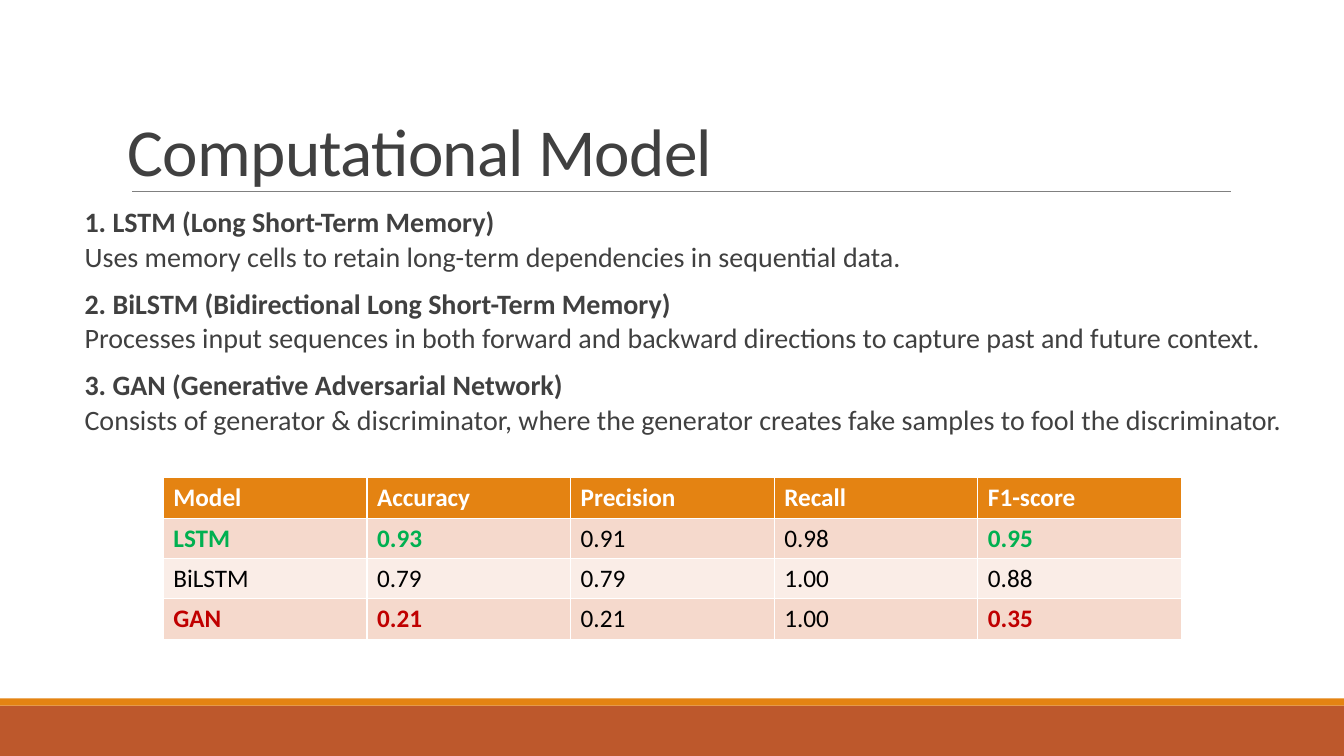
import pptx
import pptx.util
import pptx.dml.color
import pptx.enum.shapes
import pptx.enum.text
import pptx.oxml
import pptx.oxml.ns

Inches = pptx.util.Inches
Pt = pptx.util.Pt

TITLE = "Computational Model"
MODELS = [
    ("1. LSTM (Long Short-Term Memory)",
     "Uses memory cells to retain long-term dependencies in sequential data."),
    ("2. BiLSTM (Bidirectional Long Short-Term Memory)",
     "Processes input sequences in both forward and backward directions to capture past and future context."),
    ("3. GAN (Generative Adversarial Network)",
     "Consists of generator & discriminator, where the generator creates fake samples to fool the discriminator."),
]
SCORES = [
    ("Model", "Accuracy", "Precision", "Recall", "F1-score"),
    ("LSTM", "0.93", "0.91", "0.98", "0.95"),
    ("BiLSTM", "0.79", "0.79", "1.00", "0.88"),
    ("GAN", "0.21", "0.21", "1.00", "0.35"),
]
HIGHLIGHT_ROWS = {1: "best", 3: "worst"}
HIGHLIGHT_COLS = (0, 1, 4)
COLORS = {
    "text": "404040", "rule": "808080", "orange": "E48312", "rust": "BD582C",
    "white": "FFFFFF", "black": "000000", "best": "00B050", "worst": "C00000",
    "band_dark": "F5D9CC", "band_light": "FAEDE7",
}
FONT = "Calibri"
SLIDE_W, SLIDE_H = 13.33, 7.5
BANDS = [(7, 0.5, "rust"), (6.93, 0.07, "orange")]
COL_W, ROW_H = 2.02, 0.4


def rgb(name):
    return pptx.dml.color.RGBColor.from_string(COLORS[name])


def add_run(p, text, size, color, bold=False):
    r = p.add_run()
    r.text = text
    r.font.name = FONT
    r.font.size = Pt(size)
    r.font.bold = bold
    r.font.color.rgb = rgb(color)
    return r


def add_text_box(s, left, top, width, height):
    tf = s.shapes.add_textbox(Inches(left), Inches(top), Inches(width), Inches(height)).text_frame
    tf.word_wrap = True
    return tf


def add_background(s):
    for top, height, color in BANDS:
        sp = s.shapes.add_shape(pptx.enum.shapes.MSO_SHAPE.RECTANGLE,
                                0, Inches(top), Inches(SLIDE_W), Inches(height))
        sp.shadow.inherit = False
        sp.fill.solid()
        sp.fill.fore_color.rgb = rgb(color)
        sp.line.fill.background()
    rule = s.shapes.add_connector(pptx.enum.shapes.MSO_CONNECTOR.STRAIGHT,
                                  Inches(1.31), Inches(1.9), Inches(12.21), Inches(1.9))
    rule.line.color.rgb = rgb("rule")
    rule.line.width = Pt(0.5)
    rule._element.spPr.append(pptx.oxml.parse_xml(
        "<a:effectLst %s/>" % pptx.oxml.ns.nsdecls("a")))


def add_title(s):
    tf = add_text_box(s, 1.17, 0.66, 11, 1.28)
    tf.vertical_anchor = pptx.enum.text.MSO_ANCHOR.BOTTOM
    p = tf.paragraphs[0]
    p.line_spacing = 0.85
    r = add_run(p, TITLE, 48, "text")
    r._r.get_or_add_rPr().set("spc", "-50")


def add_models(s):
    tf = add_text_box(s, 0.74, 2.02, 12.05, 2.5)
    tf.margin_left, tf.margin_right = Inches(0.1), 0
    for i, (name, summary) in enumerate(MODELS):
        heading = tf.add_paragraph() if i else tf.paragraphs[0]
        detail = tf.add_paragraph()
        for p, text, bold, before, after in (
            (heading, name, True, 6 if i else 0, 2),
            (detail, summary, False, 1, 6),
        ):
            p.line_spacing = 0.9
            p.space_before = Pt(before)
            p.space_after = Pt(after)
            add_run(p, text, 20, "text", bold)


def cell_style(row, col):
    if row == 0:
        return "orange", "white", True
    fill = "band_dark" if row % 2 else "band_light"
    if row in HIGHLIGHT_ROWS and col in HIGHLIGHT_COLS:
        return fill, HIGHLIGHT_ROWS[row], True
    return fill, "black", False


def add_scores(s):
    rows, cols = len(SCORES), len(SCORES[0])
    table = s.shapes.add_table(rows, cols, Inches(1.62), Inches(4.74),
                               Inches(COL_W * cols), Inches(ROW_H * rows)).table
    for i, values in enumerate(SCORES):
        for j, value in enumerate(values):
            fill, color, bold = cell_style(i, j)
            cell = table.cell(i, j)
            cell.fill.solid()
            cell.fill.fore_color.rgb = rgb(fill)
            add_run(cell.text_frame.paragraphs[0], value, 18, color, bold)


def main():
    prs = pptx.Presentation()
    prs.slide_width, prs.slide_height = Inches(SLIDE_W), Inches(SLIDE_H)
    s = prs.slides.add_slide(prs.slide_layouts[6])
    add_background(s)
    add_title(s)
    add_models(s)
    add_scores(s)
    prs.save("out.pptx")


if __name__ == "__main__":
    main()
